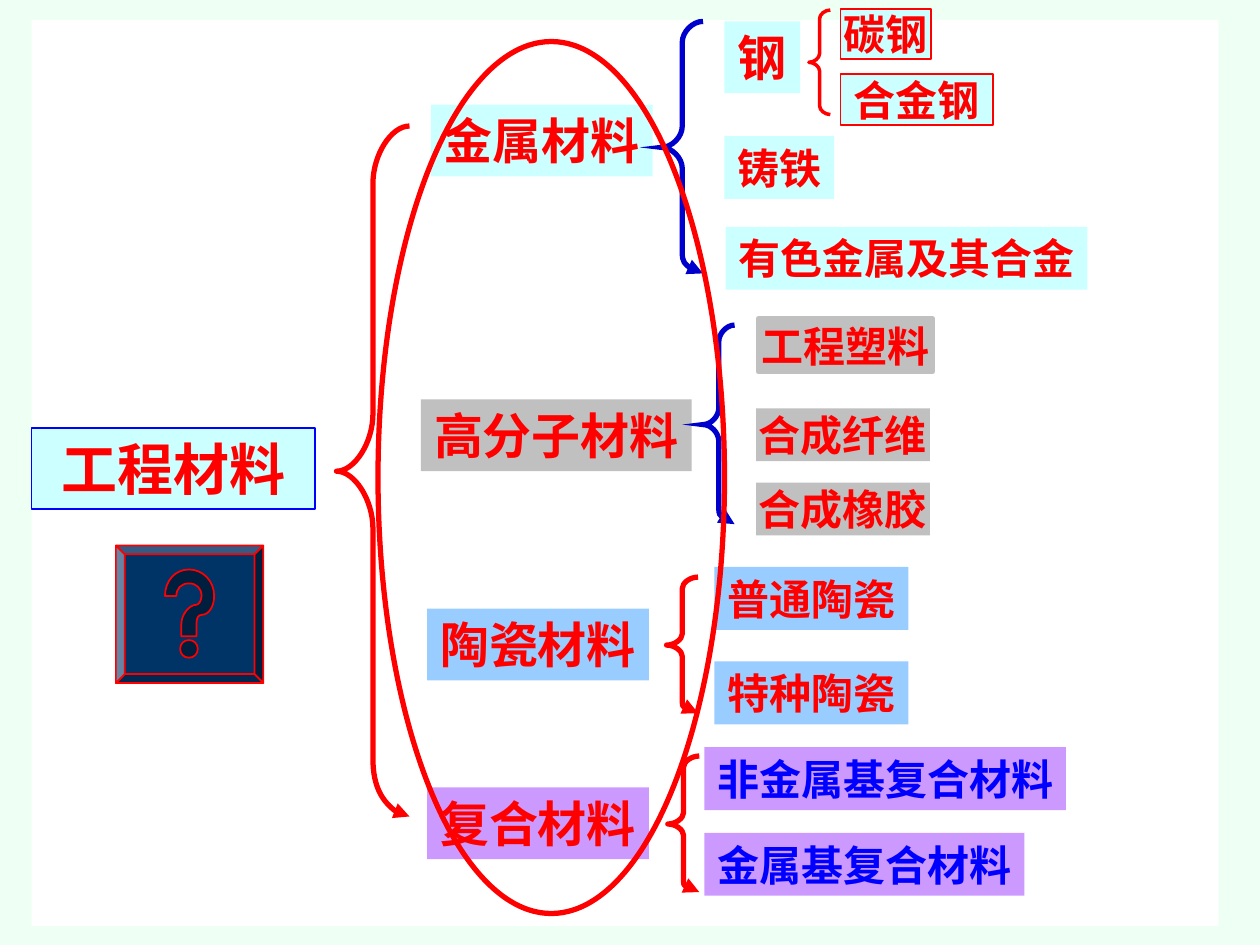
from lxml import etree
from pptx import Presentation
from pptx.dml.color import RGBColor
from pptx.enum.shapes import MSO_SHAPE
from pptx.enum.text import MSO_AUTO_SIZE, PP_ALIGN
from pptx.oxml.ns import qn
from pptx.util import Inches, Pt

RECT, OVAL = MSO_SHAPE.RECTANGLE, MSO_SHAPE.OVAL
GROW, CENTER = MSO_AUTO_SIZE.SHAPE_TO_FIT_TEXT, PP_ALIGN.CENTER
FONT = "Noto Sans CJK SC"
COLORS = {
    "page": "EEFFF4", "white": "FFFFFF", "red": "FF0000", "blue": "0000FF",
    "navy": "0000CC", "cyan": "CCFFFF", "gray": "C0C0C0", "sky": "99CCFF",
    "violet": "CC99FF", "button": "003366",
}
WIDE, TIGHT, FLAT = (0.1, 0.05), (0.02, 0.01), (0.02, 0)  # side, top/bottom insets

# text, left, top, width, height, fill
FAMILIES = [
    ("复合材料", 3.39, 6.25, 1.76, 0.57, "violet"),
    ("金属材料", 3.42, 0.83, 1.76, 0.57, "cyan"),
    ("高分子材料", 3.34, 3.17, 2.15, 0.57, "gray"),
    ("陶瓷材料", 3.39, 4.83, 1.76, 0.57, "sky"),
    ("钢", 5.75, 0.17, 0.6, 0.57, "cyan"),
]
# The same fields, then format values that differ from the defaults
MEMBERS = [
    ("工程塑料", 6.02, 2.53, 1.38, 0.42, "gray", {"inset": TIGHT, "line": ("gray", 3)}),
    ("合成纤维", 6, 3.24, 1.38, 0.42, "gray", {"inset": TIGHT}),
    ("合成橡胶", 6, 3.83, 1.38, 0.42, "gray", {"inset": TIGHT}),
    ("普通陶瓷", 5.67, 4.5, 1.54, 0.5, "sky", {}),
    ("特种陶瓷", 5.67, 5.25, 1.54, 0.5, "sky", {}),
    ("铸铁", 5.75, 1.08, 0.87, 0.5, "cyan", {}),
    ("有色金属及其合金", 5.76, 1.8, 2.87, 0.5, "cyan", {}),
    ("碳钢", 6.67, 0.07, 0.72, 0.4, "cyan", {"inset": FLAT, "line": ("red", 1)}),
    ("合金钢", 6.67, 0.59, 1.21, 0.4, "cyan",
     {"inset": FLAT, "line": ("red", 1), "wrap": True}),
    ("非金属基复合材料", 5.59, 5.93, 2.87, 0.5, "violet", {"color": "blue"}),
    ("金属基复合材料", 5.59, 6.61, 2.54, 0.5, "violet", {"color": "blue"}),
]
# left, top, width, height, colour, line width, arrow at the lower end
BRACES = [
    (2.67, 1, 0.58, 5.48, "red", 3, True),
    (5.25, 0.17, 0.33, 2, "navy", 3, True),
    (5.29, 4.58, 0.25, 1.08, "red", 3, True),
    (6.42, 0.08, 0.17, 0.83, "red", 2, False),
    (5.58, 2.58, 0.25, 1.58, "navy", 3, True),
    (5.3, 6, 0.25, 1.08, "red", 3, True),
]
# Question mark: point tuples, two numbers for a line and six for a curve
DOT = [(1.5, 5.08), (1.46, 5.08, 1.43, 5.11, 1.43, 5.15),
       (1.43, 5.19, 1.46, 5.22, 1.5, 5.22), (1.54, 5.22, 1.57, 5.19, 1.57, 5.15),
       (1.57, 5.11, 1.54, 5.08, 1.5, 5.08)]
HOOK = [(1.56, 5.05), (1.56, 4.95), (1.56, 4.91, 1.57, 4.88, 1.6, 4.88),
        (1.66, 4.88, 1.7, 4.81, 1.7, 4.73), (1.7, 4.61, 1.61, 4.52, 1.5, 4.52),
        (1.39, 4.52, 1.31, 4.61, 1.31, 4.73), (1.4, 4.73),
        (1.4, 4.67, 1.44, 4.63, 1.5, 4.63), (1.56, 4.63, 1.6, 4.67, 1.6, 4.73),
        (1.6, 4.76, 1.58, 4.8, 1.56, 4.8), (1.5, 4.8, 1.44, 4.88, 1.44, 4.95),
        (1.44, 5.05)]


def rgb(name):
    return RGBColor.from_string(COLORS[name])


def paint(sp, fill=None, line=None):
    """Set fill and line; None leaves either one empty."""
    if fill:
        sp.fill.solid()
        sp.fill.fore_color.rgb = rgb(fill)
    else:
        sp.fill.background()
    if line:
        sp.line.color.rgb, sp.line.width = rgb(line[0]), Pt(line[1])
    else:
        sp.line.fill.background()


def add_preset(s, kind, box, fill=None, line=None):
    sp = s.shapes.add_shape(kind, *map(Inches, box))
    sp.shadow.inherit = False
    paint(sp, fill, line)


def add_label(s, text, x, y, w, h, fill, size=24, color="red",
              inset=WIDE, line=None, wrap=False):
    sp = s.shapes.add_textbox(*map(Inches, (x, y, w, h)))
    paint(sp, fill, line)
    tf = sp.text_frame
    side, end = map(Inches, inset)
    frame = {"margin_left": side, "margin_right": side, "margin_top": end,
             "margin_bottom": end, "word_wrap": wrap, "auto_size": GROW}
    for key, value in frame.items():
        setattr(tf, key, value)
    p = tf.paragraphs[0]
    p.alignment = CENTER
    r = p.add_run()
    r.text = text
    for key, value in {"size": Pt(size), "bold": True, "name": FONT}.items():
        setattr(r.font, key, value)
    r.font.color.rgb = rgb(color)
    etree.SubElement(r.font._element, qn("a:ea"), typeface=FONT)


def add_curves(s, box, outlines, fill, line):
    """Freeform from (points, fill mode, closed) outlines in slide inches."""
    x, y, w, h = map(Inches, box)
    fb = s.shapes.build_freeform(x, y)
    fb.add_line_segments([(x + w, y), (x + w, y + h), (x, y + h)])
    sp = fb.convert_to_shape()
    sp.shadow.inherit = False
    paint(sp, fill, line)
    paths = sp._element.spPr.find(".//" + qn("a:pathLst"))
    paths.clear()
    for points, mode, closed in outlines:
        node = etree.SubElement(paths, qn("a:path"), w=str(w), h=str(h), fill=mode)
        for i, point in enumerate(points):
            tag = "moveTo" if i == 0 else "lnTo" if len(point) == 2 else "cubicBezTo"
            step = etree.SubElement(node, qn("a:" + tag))
            for px, py in zip(point[::2], point[1::2]):
                etree.SubElement(step, qn("a:pt"), x=str(Inches(px) - x),
                                 y=str(Inches(py) - y))
        if closed:
            etree.SubElement(node, qn("a:close"))
    return sp


def add_brace(s, x, y, w, h, color, width, arrow):
    right, spine, bottom = x + w, x + w / 2, y + h
    mid, bend, q = y + h / 2, h / 12, w / 4
    points = [
        (right, y), (right - q, y, spine, y + bend / 2, spine, y + bend),
        (spine, mid - bend), (spine, mid - bend / 2, x + q, mid, x, mid),
        (x + q, mid, spine, mid + bend / 2, spine, mid + bend),
        (spine, bottom - bend),
        (spine, bottom - bend / 2, right - q, bottom, right, bottom),
    ]
    sp = add_curves(s, (x, y, w, h), [(points, "none", False)], None, (color, width))
    ln = sp.line._get_or_add_ln()
    if color == "navy":
        etree.SubElement(ln, qn("a:miter"), lim="800000")
    else:
        etree.SubElement(ln, qn("a:round"))
    if arrow:
        etree.SubElement(ln, qn("a:tailEnd"), type="triangle")


def add_help_button(s, x, y, w, h, bevel):
    def corners(d):
        return [(x + d, y + d), (x + w - d, y + d),
                (x + w - d, y + h - d), (x + d, y + h - d)]

    outer, inner = corners(0), corners(bevel)
    outlines = [(outer, "norm", True)]
    for i, mode in enumerate(("lightenLess", "darken", "darkenLess", "lighten")):
        j = (i + 1) % 4
        outlines.append(([outer[i], outer[j], inner[j], inner[i]], mode, True))
    outlines += [(DOT, "darken", True), (HOOK, "darken", True)]
    add_curves(s, (x, y, w, h), outlines, "button", ("red", 1))


def main():
    prs = Presentation()
    prs.slide_width, prs.slide_height = Inches(10), Inches(7.5)
    s = prs.slides.add_slide(prs.slide_layouts[6])

    # Page and white panel
    s.background.fill.solid()
    s.background.fill.fore_color.rgb = rgb("page")
    add_preset(s, RECT, (0.25, 0.16, 9.42, 7.19), "white")

    # Root and material families
    add_label(s, "工程材料", 0.25, 3.4, 2.25, 0.64, "cyan",
              size=32, line=("blue", 1), wrap=True)
    for family in FAMILIES:
        add_label(s, *family, size=28)

    # Braces and the members they group
    for brace in BRACES:
        add_brace(s, *brace)
    for *member, style in MEMBERS:
        add_label(s, *member, **style)

    # Ring around the families, help button
    add_preset(s, OVAL, (3, 0.33, 2.75, 6.92), line=("red", 3))
    add_help_button(s, 0.92, 4.33, 1.17, 1.09, 0.07)

    prs.save("out.pptx")


if __name__ == "__main__":
    main()
